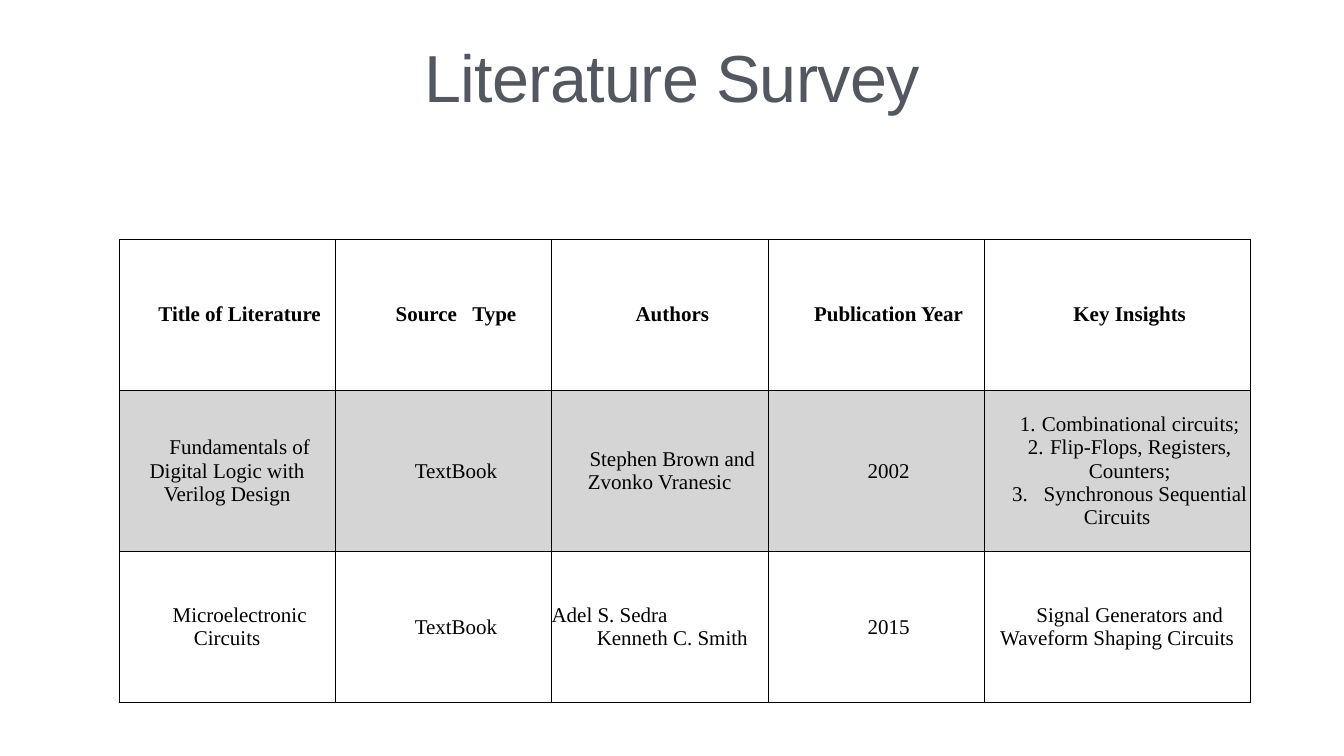
from dataclasses import dataclass

from lxml import etree
from pptx import Presentation
from pptx.dml.color import RGBColor
from pptx.enum.text import MSO_ANCHOR, MSO_AUTO_SIZE, PP_ALIGN
from pptx.oxml.ns import qn
from pptx.util import Pt

CENTER, LEFT = PP_ALIGN.CENTER, PP_ALIGN.LEFT
MIDDLE = MSO_ANCHOR.MIDDLE
NO_AUTOFIT = MSO_AUTO_SIZE.NONE
TITLE_ONLY = 5

COLORS = {"title": "535860", "text": "000000", "border": "000000",
          "plain": "FFFFFF", "shaded": "D5D5D5"}
COLUMN_WIDTHS = [309, 309, 309, 309, 380]
ROW_HEIGHTS = [215.5, 230.5, 215.5]
ROW_FILLS = ["plain", "shaded", "plain"]


@dataclass
class Line:
    """One paragraph of a cell; lengths are in points."""
    text: str
    align: PP_ALIGN = CENTER
    margin: float = 0
    indent: float = 36
    numbered: bool = False


def numbered(text: str) -> Line:
    return Line(text, margin=67.5, indent=-31.5, numbered=True)


ROWS = [
    ["Title of Literature", "Source   Type", "Authors", "Publication Year", "Key Insights"],
    ["Fundamentals of Digital Logic with Verilog Design", "TextBook",
     "Stephen Brown and Zvonko Vranesic", "2002",
     [numbered("Combinational circuits;"), numbered("Flip-Flops, Registers,"),
      Line("Counters;"), Line("3.   Synchronous Sequential Circuits")]],
    ["Microelectronic Circuits", "TextBook",
     [Line("Adel S. Sedra", align=LEFT, indent=0), Line("Kenneth C. Smith")],
     "2015", "Signal Generators and Waveform Shaping Circuits"],
]


def write(para, text: str, *, font: str, size: float, color: str,
          bold: bool = False, align=CENTER, tracking: float = 0) -> None:
    para.alignment = align
    span = para.add_run()
    span.text = text
    span.font.name = font
    span.font.size = Pt(size)
    span.font.bold = bold
    span.font.color.rgb = RGBColor.from_string(COLORS[color])
    if tracking:
        span.font._element.set("spc", str(round(tracking * 100)))


def set_indent(para, line: Line) -> None:
    properties = para._p.get_or_add_pPr()
    properties.set("marL", str(Pt(line.margin)))
    properties.set("indent", str(Pt(line.indent)))
    if line.numbered:
        etree.SubElement(properties, qn("a:buFont"), typeface="+mj-lt")
        etree.SubElement(properties, qn("a:buAutoNum"), type="arabicPeriod")


def set_borders(cell, color: str, width: float) -> None:
    properties = cell._tc.get_or_add_tcPr()
    for position, side in enumerate(("lnL", "lnR", "lnT", "lnB")):
        border = etree.Element(qn(f"a:{side}"), w=str(Pt(width)))
        fill = etree.SubElement(border, qn("a:solidFill"))
        etree.SubElement(fill, qn("a:srgbClr"), val=COLORS[color])
        properties.insert(position, border)


def fill_cell(cell, lines: list[Line], *, fill: str, bold: bool) -> None:
    cell.margin_left = cell.margin_right = cell.margin_top = cell.margin_bottom = 0
    cell.vertical_anchor = MIDDLE
    cell.fill.solid()
    cell.fill.fore_color.rgb = RGBColor.from_string(COLORS[fill])
    set_borders(cell, "border", 1)
    frame = cell.text_frame
    for number, line in enumerate(lines):
        para = frame.add_paragraph() if number else frame.paragraphs[0]
        write(para, line.text, font="Times New Roman", size=30, color="text",
              bold=bold, align=line.align)
        set_indent(para, line)


def add_survey_table(page) -> None:
    frame = page.shapes.add_table(
        len(ROWS), len(COLUMN_WIDTHS), Pt(170), Pt(342),
        Pt(sum(COLUMN_WIDTHS)), Pt(sum(ROW_HEIGHTS)))
    table = frame.table
    table.horz_banding = False
    for column, width in zip(table.columns, COLUMN_WIDTHS):
        column.width = Pt(width)
    for row_number, (row, height) in enumerate(zip(table.rows, ROW_HEIGHTS)):
        row.height = Pt(height)
        for cell, content in zip(row.cells, ROWS[row_number]):
            lines = [Line(content)] if isinstance(content, str) else content
            fill_cell(cell, lines, fill=ROW_FILLS[row_number], bold=row_number == 0)


def set_title(page, text: str) -> None:
    box = page.shapes.title
    box.left, box.top, box.width, box.height = Pt(95), Pt(49.5), Pt(1730), Pt(133)
    frame = box.text_frame
    frame.margin_left = frame.margin_right = Pt(4)
    frame.margin_top = frame.margin_bottom = Pt(4)
    frame.vertical_anchor = MIDDLE
    frame.auto_size = NO_AUTOFIT
    frame.word_wrap = True
    para = frame.paragraphs[0]
    para.line_spacing = 0.9
    write(para, text, font="Arial", size=95, color="title", tracking=-1)


def main() -> None:
    deck = Presentation()
    deck.slide_width, deck.slide_height = Pt(1920), Pt(1080)
    page = deck.slides.add_slide(deck.slide_layouts[TITLE_ONLY])
    add_survey_table(page)
    set_title(page, "Literature Survey")
    deck.save("out.pptx")


if __name__ == "__main__":
    main()
